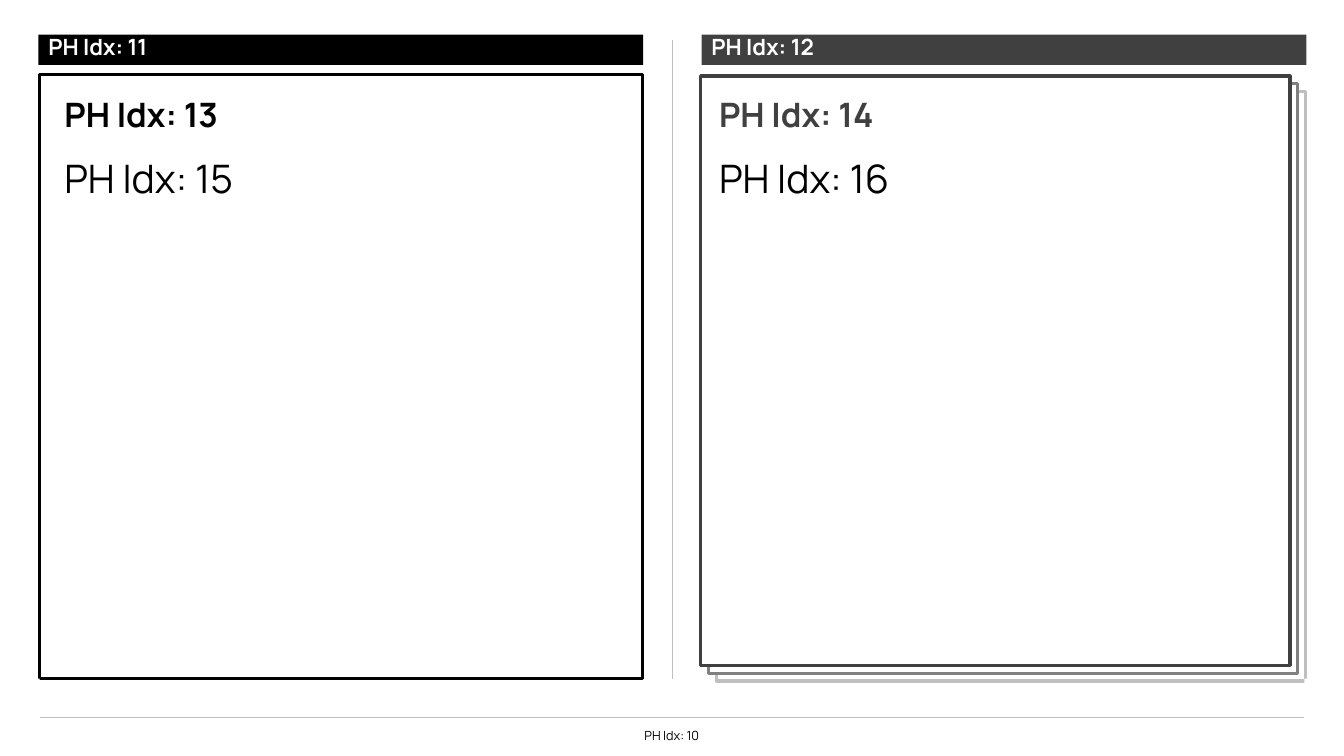
from lxml import etree
from pptx import Presentation
from pptx.dml.color import RGBColor
from pptx.enum.shapes import MSO_CONNECTOR, MSO_SHAPE
from pptx.enum.text import MSO_ANCHOR, PP_ALIGN
from pptx.oxml.ns import qn
from pptx.util import Pt

RECTANGLE, STRAIGHT = MSO_SHAPE.RECTANGLE, MSO_CONNECTOR.STRAIGHT
TOP, MIDDLE, BOTTOM = MSO_ANCHOR.TOP, MSO_ANCHOR.MIDDLE, MSO_ANCHOR.BOTTOM
LEFT, CENTER = PP_ALIGN.LEFT, PP_ALIGN.CENTER

FONT = "Manrope"
COLORS = {"black": "000000", "dark": "404040", "mid": "808080",
          "light": "BFBFBF", "white": "FFFFFF"}

# Each column: banner, heading and body wording, accent, and left edges
COLUMNS = [
    {"banner": "PH Idx: 11", "heading": "PH Idx: 13", "body": "PH Idx: 15",
     "accent": "black", "banner_left": 27.5, "text_left": 38.9},
    {"banner": "PH Idx: 12", "heading": "PH Idx: 14", "body": "PH Idx: 16",
     "accent": "dark", "banner_left": 501.1, "text_left": 506.5},
]
FOOTER = "PH Idx: 10"
STACK = ["light", "mid", "dark"]  # back to front

WIDTH, HEIGHT = 960, 540
MARGIN = 28.35
CONTENT_BOTTOM = 484.7
FOOTER_RULE = 512
CARD = (MARGIN, 53.2, 430.6, 431.5)
STACK_LEFT, STACK_TOP, STACK_SIZE, STACK_STEP = 500.5, 54.3, 421, 5.6
BANNER_TOP, BANNER_WIDTH, BANNER_HEIGHT = 24.8, 432, 21.6
TEXT_WIDTH = 409.7

prs = Presentation()
prs.slide_width, prs.slide_height = Pt(WIDTH), Pt(HEIGHT)
slide = prs.slides.add_slide(prs.slide_layouts[6])


def rgb(color):
    return RGBColor.from_string(COLORS[color])


def add_box(left, top, width, height, fill="white", line=None):
    box = slide.shapes.add_shape(RECTANGLE, Pt(left), Pt(top), Pt(width), Pt(height))
    box.shadow.inherit = False
    box.fill.solid()
    box.fill.fore_color.rgb = rgb(fill)
    if line:
        box.line.color.rgb = rgb(line)
        box.line.width = Pt(2.25)
    else:
        box.line.fill.background()
    return box


def add_rule(x1, y1, x2, y2):
    rule = slide.shapes.add_connector(STRAIGHT, Pt(x1), Pt(y1), Pt(x2), Pt(y2))
    rule.line.color.rgb = rgb("light")
    rule.line.width = Pt(0.25)
    etree.SubElement(rule.line._get_or_add_ln().getparent(), qn("a:effectLst"))


def add_text(text, left, top, width, height, size, color="black", bold=False,
             anchor=MIDDLE, align=LEFT, fill=None):
    """Place one line of text, on a filled box when a fill is given."""
    if fill:
        holder = add_box(left, top, width, height, fill)
    else:
        holder = slide.shapes.add_textbox(Pt(left), Pt(top), Pt(width), Pt(height))
    frame = holder.text_frame
    frame.word_wrap = True
    frame.vertical_anchor = anchor
    paragraph = frame.paragraphs[0]
    paragraph.alignment = align
    paragraph.line_spacing = 0.9
    paragraph.space_before = Pt(10)
    run = paragraph.add_run()
    run.text = text
    run.font.name = FONT
    run.font.size = Pt(size)
    run.font.bold = bold
    run.font.color.rgb = rgb(color)


add_box(*CARD, line="black")
for depth, outline in zip(reversed(range(len(STACK))), STACK):
    offset = depth * STACK_STEP
    add_box(STACK_LEFT + offset, STACK_TOP + offset, STACK_SIZE, STACK_SIZE, line=outline)

add_rule(MARGIN, FOOTER_RULE, WIDTH - MARGIN, FOOTER_RULE)
# White margin corners trim the card edges
for corner_left in (0, WIDTH - MARGIN):
    add_box(corner_left, CONTENT_BOTTOM, MARGIN, MARGIN)
add_rule(WIDTH / 2, CONTENT_BOTTOM, WIDTH / 2, MARGIN)

for column in COLUMNS:
    add_text(column["banner"], column["banner_left"], BANNER_TOP, BANNER_WIDTH,
             BANNER_HEIGHT, 16, color="white", bold=True, anchor=BOTTOM,
             fill=column["accent"])
    add_text(column["heading"], column["text_left"], 65.5, TEXT_WIDTH, 35.3, 24,
             color=column["accent"], bold=True)
    add_text(column["body"], column["text_left"], 110.2, TEXT_WIDTH, 355.7, 28,
             anchor=TOP)
add_text(FOOTER, 182.2, 519.1, 595.4, 14.4, 9, align=CENTER)

prs.save("out.pptx")
